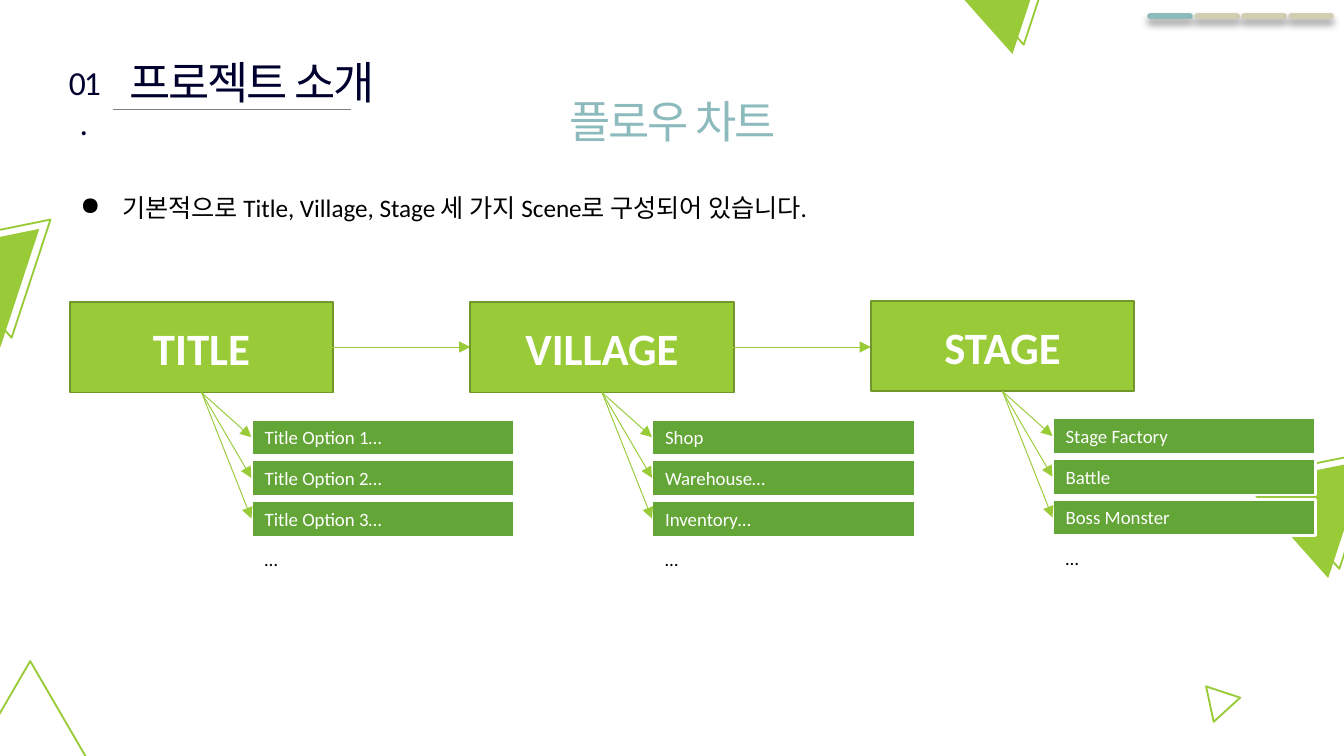
from typing import NamedTuple, Optional

from pptx import Presentation
from pptx.dml.color import RGBColor
from pptx.enum.shapes import MSO_CONNECTOR, MSO_SHAPE
from pptx.enum.text import MSO_ANCHOR, MSO_AUTO_SIZE, PP_ALIGN
from pptx.oxml import parse_xml
from pptx.oxml.ns import nsdecls
from pptx.util import Pt

TRIANGLE = MSO_SHAPE.ISOSCELES_TRIANGLE
PROCESS = MSO_SHAPE.FLOWCHART_PROCESS
RECTANGLE = MSO_SHAPE.RECTANGLE
STRAIGHT = MSO_CONNECTOR.STRAIGHT
LEFT, CENTER = PP_ALIGN.LEFT, PP_ALIGN.CENTER
TOP, MIDDLE = MSO_ANCHOR.TOP, MSO_ANCHOR.MIDDLE
GROW = MSO_AUTO_SIZE.SHAPE_TO_FIT_TEXT

WHITE = RGBColor(0xFF, 0xFF, 0xFF)
BLACK = RGBColor(0x00, 0x00, 0x00)
NAVY = RGBColor(0x00, 0x00, 0x2F)
GRAY = RGBColor(0x80, 0x80, 0x80)
TEAL = RGBColor(0x8D, 0xBA, 0xBD)
SAND = RGBColor(0xD2, 0xCE, 0xB1)
LIME = RGBColor(0x99, 0xCB, 0x38)
DARK_LIME = RGBColor(0x71, 0x96, 0x29)
GREEN = RGBColor(0x63, 0xA5, 0x37)

FONT = "Calibri"
SCENE_LEFT, SCENE_TOP, SCENE_PITCH = 37.4, 162, 214.56
BOX_WIDTH, BOX_HEIGHT = 141.1, 48.3
OPTION_INDENT, OPTION_DROP, OPTION_PITCH, OPTION_HEIGHT = 97.3, 62.6, 21.8, 19.5
TIP_DROP = 72.2

SOFT_SHADOW = (
    f'<a:effectLst {nsdecls("a")}><a:outerShdw blurRad="{Pt(4)}" dist="{Pt(3)}" '
    'dir="5400000" rotWithShape="0"><a:srgbClr val="000000"><a:alpha val="40000"/>'
    "</a:srgbClr></a:outerShdw></a:effectLst>"
)
NO_SHADOW = f'<a:effectLst {nsdecls("a")}/>'


class Decoration(NamedTuple):
    left: float
    top: float
    width: float
    height: float
    rotation: float
    filled: bool


class Scene(NamedTuple):
    name: str
    options: tuple[str, str, str]
    lift: float = 0


BIG = (67, 57.6, 48.4)
DECORATIONS = [Decoration(-17.3, 354.2, 67, 57.6, 0, False)]
for pair_left, pair_top in ((-28, 108), (683.3, 231.8), (514.2, -49)):
    DECORATIONS += [
        Decoration(pair_left, pair_top, *BIG, False),
        Decoration(pair_left - 6, pair_top + 5, *BIG, True),
    ]
DECORATIONS.append(Decoration(646.6, 367.2, 19.4, 16.6, 77.9, False))

SCENES = [
    Scene("TITLE", ("Title Option 1…", "Title Option 2…", "Title Option 3…")),
    Scene("VILLAGE", ("Shop", "Warehouse…", "Inventory…")),
    Scene("STAGE", ("Stage Factory", "Battle", "Boss Monster"), lift=0.6),
]


def write(shape, text: str, *, size: float, color: RGBColor, bold: bool = False,
          align: PP_ALIGN = LEFT, anchor: MSO_ANCHOR = TOP, wrap: bool = True,
          grow: bool = True, spacing: float = 0, bullet: str = "") -> None:
    frame = shape.text_frame
    frame.word_wrap = wrap
    frame.vertical_anchor = anchor
    if grow:
        frame.auto_size = GROW
    paragraph = frame.paragraphs[0]
    paragraph.alignment = align
    run = paragraph.add_run()
    run.text = text
    run.font.name, run.font.size, run.font.bold = FONT, Pt(size), bold
    run.font.color.rgb = color
    if spacing:
        run._r.get_or_add_rPr().set("spc", str(round(spacing * 100)))
    if bullet:
        properties = paragraph._p.get_or_add_pPr()
        properties.set("marL", str(Pt(22.5)))
        properties.set("indent", str(-Pt(22.5)))
        properties.append(parse_xml(f'<a:buChar {nsdecls("a")} char="{bullet}"/>'))


def add_box(shapes, kind: MSO_SHAPE, left: float, top: float, width: float,
            height: float, fill: Optional[RGBColor], line: Optional[RGBColor],
            line_width: float = 1):
    box = shapes.add_shape(kind, Pt(left), Pt(top), Pt(width), Pt(height))
    box.shadow.inherit = False
    if fill is None:
        box.fill.background()
    else:
        box.fill.solid()
        box.fill.fore_color.rgb = fill
    if line is None:
        box.line.fill.background()
    else:
        box.line.color.rgb = line
        box.line.width = Pt(line_width)
    return box


def add_textbox(shapes, left: float, top: float, width: float, height: float):
    return shapes.add_textbox(Pt(left), Pt(top), Pt(width), Pt(height))


def add_line(shapes, x1: float, y1: float, x2: float, y2: float, color: RGBColor,
             width: float = 0.5, arrow: bool = False, shadow: bool = False) -> None:
    line = shapes.add_connector(STRAIGHT, Pt(x1), Pt(y1), Pt(x2), Pt(y2))
    line.line.color.rgb = color
    line.line.width = Pt(width)
    outline = line.line._get_or_add_ln()
    if arrow:
        outline.append(parse_xml(f'<a:tailEnd {nsdecls("a")} type="triangle"/>'))
    if shadow:
        outline.set("cap", "rnd")
    line._element.spPr.append(parse_xml(SOFT_SHADOW if shadow else NO_SHADOW))


def add_scene(shapes, scene: Scene, left: float) -> None:
    top = SCENE_TOP - scene.lift
    box = add_box(shapes, PROCESS, left, top, BOX_WIDTH, BOX_HEIGHT, LIME, DARK_LIME)
    write(box, scene.name, size=24, color=WHITE, bold=True, align=CENTER,
          anchor=MIDDLE, grow=False)
    option_left, option_top = left + OPTION_INDENT, top + OPTION_DROP
    for row, option in enumerate(scene.options):
        bar = add_box(shapes, RECTANGLE, option_left, option_top + row * OPTION_PITCH,
                      BOX_WIDTH, OPTION_HEIGHT, GREEN, WHITE, 1.5)
        write(bar, option, size=10.1, color=WHITE)
    more = add_textbox(shapes, option_left, option_top + len(scene.options) * OPTION_PITCH,
                       BOX_WIDTH, OPTION_HEIGHT)
    write(more, "…", size=10.1, color=BLACK)
    for row in range(len(scene.options)):
        add_line(shapes, left + BOX_WIDTH / 2, top + BOX_HEIGHT, option_left,
                 top + TIP_DROP + row * OPTION_PITCH, LIME, arrow=True)


def main() -> None:
    deck = Presentation()
    deck.slide_width, deck.slide_height = Pt(720), Pt(405)
    shapes = deck.slides.add_slide(deck.slide_layouts[6]).shapes

    # Background triangles
    for item in DECORATIONS:
        triangle = add_box(shapes, TRIANGLE, item.left, item.top, item.width, item.height,
                           LIME if item.filled else None, None if item.filled else LIME)
        triangle.rotation = item.rotation

    # Section heading
    add_line(shapes, 60.5, 58.5, 188, 58.5, GRAY)
    heading = {"color": NAVY, "align": CENTER, "wrap": False, "spacing": -1.1}
    write(add_textbox(shapes, 54, 26, 162, 36), "프로젝트 소개", size=24, **heading)
    write(add_textbox(shapes, 28.1, 29.5, 33.8, 29), "01.", size=18, **heading)

    # Progress marks
    for step, color in enumerate((TEAL, SAND, SAND, SAND)):
        left = 616.3 + step * 25.2
        add_line(shapes, left, 8.6, left + 21, 8.6, color, width=3.5, shadow=True)

    # Slide title
    write(add_textbox(shapes, 293, 46.8, 134.6, 36), "플로우 차트", size=24,
          **(heading | {"color": TEAL}))

    # Scenes and the arrows between them
    for column, scene in enumerate(SCENES):
        left = SCENE_LEFT + column * SCENE_PITCH
        if column:
            add_line(shapes, left - 75.6, 185.9, left, 185.9, LIME, arrow=True)
        add_scene(shapes, scene, left)

    # Summary
    write(add_textbox(shapes, 36, 99.4, 625, 23.8),
          "기본적으로 Title, Village, Stage 세 가지 Scene로 구성되어 있습니다.",
          size=13.5, color=BLACK, bullet="●")

    deck.save("out.pptx")


if __name__ == "__main__":
    main()
